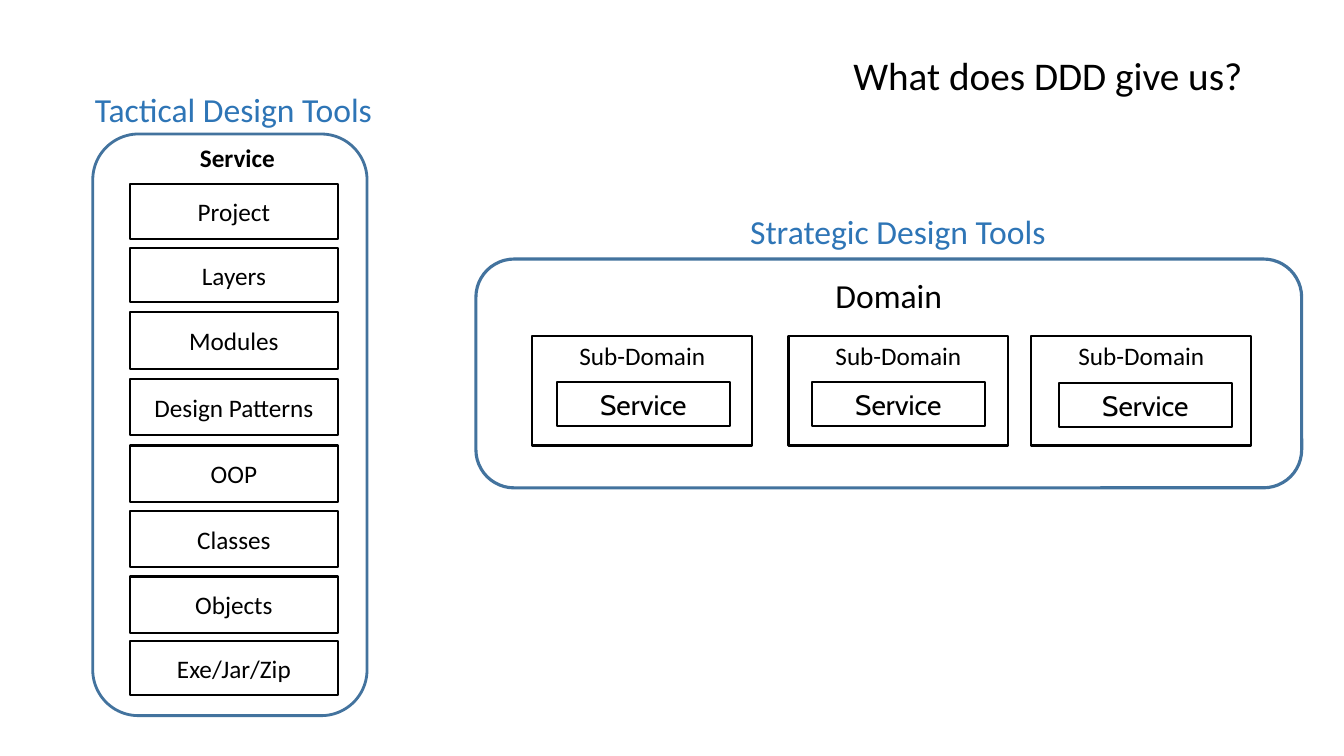
from pptx import Presentation
from pptx.dml.color import RGBColor
from pptx.enum.shapes import MSO_SHAPE as Shape
from pptx.enum.text import MSO_ANCHOR as Anchor, MSO_AUTO_SIZE as AutoSize, PP_ALIGN as Align
from pptx.util import Inches, Pt

COLORS = {"text": "000000", "heading": "2E75B6", "panel": "43739E"}

TITLE = "What does DDD give us?"
# heading, left, top, width
HEADINGS = [
    ("Tactical Design Tools", 0.77, 0.83, 3.09),
    ("Strategic Design Tools", 6.79, 2.04, 4.23),
]
# tool, top, height
TACTICAL_TOOLS = [
    ("Project", 1.83, 0.54),
    ("Layers", 2.46, 0.54),
    ("Modules", 3.1, 0.56),
    ("Design Patterns", 3.76, 0.56),
    ("OOP", 4.42, 0.56),
    ("Classes", 5.07, 0.56),
    ("Objects", 5.72, 0.56),
    ("Exe/Jar/Zip", 6.36, 0.54),
]
# sub-domain left, service left, service top
SUB_DOMAINS = [(5.28, 5.52, 3.79), (7.82, 8.05, 3.79), (10.23, 10.5, 3.8)]


def write(frame, text, size=18, font="Calibri", color="text", bold=False,
          align=Align.CENTER, anchor=Anchor.MIDDLE):
    frame.word_wrap = True
    frame.vertical_anchor = anchor
    frame.text = text
    paragraph = frame.paragraphs[0]
    paragraph.alignment = align
    run_font = paragraph.runs[0].font
    run_font.name, run_font.size, run_font.bold = font, Pt(size), bold
    run_font.color.rgb = RGBColor.from_string(COLORS[color])


def add_outline(slide, bounds, kind=Shape.RECTANGLE, color="text", weight=1.5):
    """Add an unfilled, outlined shape and return it."""
    outline = slide.shapes.add_shape(kind, *map(Inches, bounds))
    outline.shadow.inherit = False
    outline.fill.background()
    outline.line.color.rgb = RGBColor.from_string(COLORS[color])
    outline.line.width = Pt(weight)
    return outline


def add_label(slide, bounds, text, **style):
    label = slide.shapes.add_textbox(*map(Inches, bounds))
    write(label.text_frame, text, anchor=Anchor.TOP, **style)


def add_title(slide):
    title = slide.shapes.title
    title.left, title.top, title.width, title.height = map(Inches, (0.92, 0.4, 11.5, 0.74))
    write(title.text_frame, TITLE, size=28, align=Align.RIGHT)
    title.text_frame.auto_size = AutoSize.NONE
    title.text_frame.paragraphs[0].line_spacing = 0.9


def add_tactical_panel(slide):
    add_outline(slide, (0.92, 1.33, 2.72, 5.77), Shape.ROUNDED_RECTANGLE, "panel", 2)
    add_label(slide, (1.66, 1.36, 1.39, 0.4), "Service", bold=True)
    for tool, top, height in TACTICAL_TOOLS:
        box = add_outline(slide, (1.29, top, 2.06, height))
        write(box.text_frame, tool)


def add_strategic_panel(slide):
    domain = add_outline(slide, (4.72, 2.57, 8.19, 2.27), Shape.ROUNDED_RECTANGLE, "panel", 2.25)
    write(domain.text_frame, "Domain", size=24, anchor=Anchor.TOP)
    for left, service_left, service_top in SUB_DOMAINS:
        sub_domain = add_outline(slide, (left, 3.33, 2.18, 1.09))
        write(sub_domain.text_frame, "Sub-Domain", anchor=Anchor.TOP)
        service = add_outline(slide, (service_left, service_top, 1.72, 0.44))
        write(service.text_frame, "Service", size=20, font="Cabin")


def main():
    deck = Presentation()
    deck.slide_width, deck.slide_height = Inches(13.33), Inches(7.5)
    slide = deck.slides.add_slide(deck.slide_layouts[5])
    add_title(slide)
    add_tactical_panel(slide)
    add_strategic_panel(slide)
    for heading, left, top, width in HEADINGS:
        add_label(slide, (left, top, width, 0.5), heading, size=24, color="heading")
    deck.save("out.pptx")


if __name__ == "__main__":
    main()
